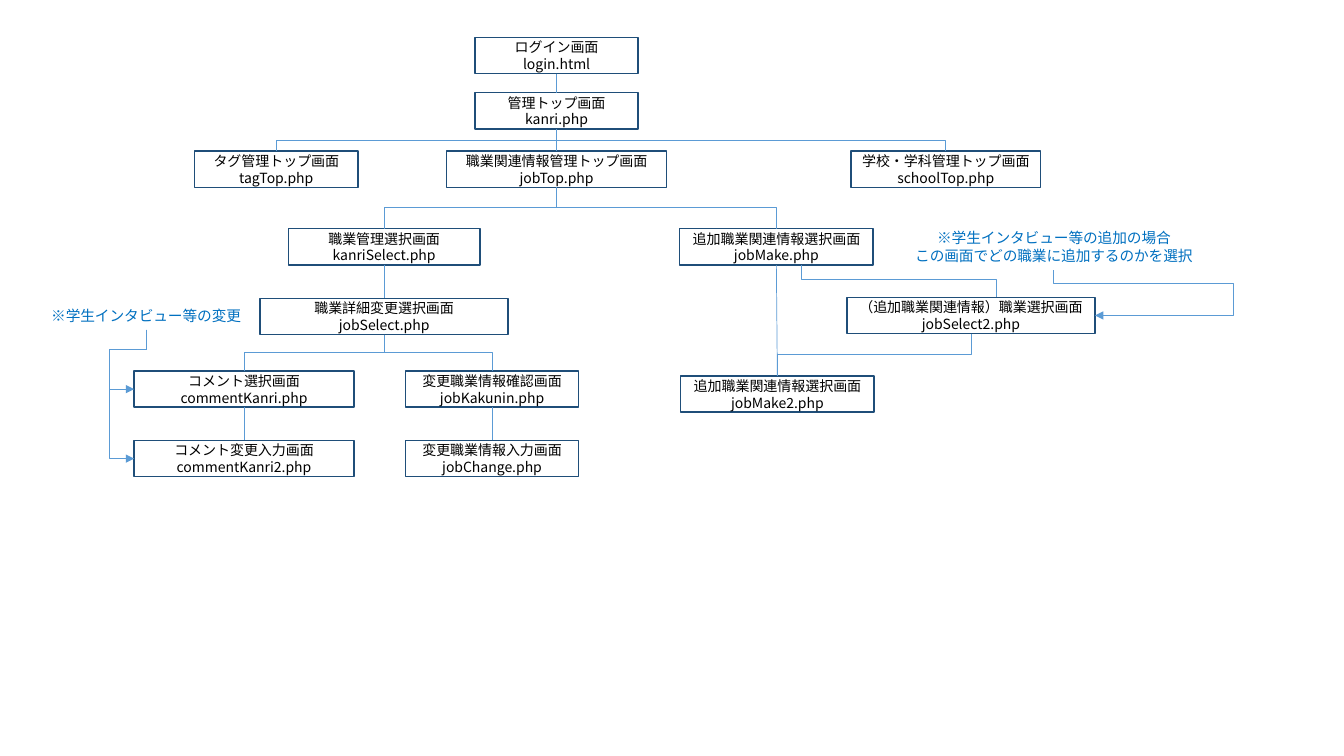
"""Build a one-slide screen transition diagram of the admin pages."""
from dataclasses import dataclass

from lxml import etree
from pptx import Presentation
from pptx import util as u
from pptx.dml.color import RGBColor
from pptx.enum import shapes, text
from pptx.oxml.ns import qn

PX = 9144
BOX_H = 36
TOP, BOTTOM = 0, 2


@dataclass(frozen=True)
class Theme:
    """Colours, font and type sizes."""
    font: str = "Noto Sans CJK JP"
    paper: str = "FFFFFF"
    ink: str = "000000"
    border: str = "1F4E79"
    link: str = "5B9BD5"
    note: str = "0070C0"
    box_pt: float = 10
    note_pt: float = 10.5
    leading: float = 1.2
    border_pt: float = 1
    link_pt: float = 0.5


@dataclass(frozen=True)
class Screen:
    """A page of the site and its box."""
    title: str
    file: str
    x: int
    y: int
    w: int

    @property
    def cx(self) -> int:
        return self.x + self.w // 2

    @property
    def bottom(self) -> int:
        return self.y + BOX_H


@dataclass(frozen=True)
class Note:
    """A free remark beside the boxes."""
    text: str
    x: int
    y: int
    w: int
    h: int


@dataclass(frozen=True)
class Elbow:
    """A bent line leaving downwards, turning at bend_y and optionally at side_x."""
    x1: int
    y1: int
    x2: int
    y2: int
    bend_y: int
    side_x: int | None = None


THEME = Theme()

SCREENS = {s.file: s for s in (
    Screen("ログイン画面", "login.html", 471, 37, 162),
    Screen("管理トップ画面", "kanri.php", 471, 92, 162),
    Screen("職業関連情報管理トップ画面", "jobTop.php", 443, 150, 218),
    Screen("タグ管理トップ画面", "tagTop.php", 193, 150, 162),
    Screen("学校・学科管理トップ画面", "schoolTop.php", 844, 150, 188),
    Screen("職業管理選択画面", "kanriSelect.php", 286, 227, 190),
    Screen("追加職業関連情報選択画面", "jobMake.php", 674, 227, 192),
    Screen("職業詳細変更選択画面", "jobSelect.php", 258, 296, 246),
    Screen("コメント選択画面", "commentKanri.php", 133, 368, 218),
    Screen("コメント変更入力画面", "commentKanri2.php", 133, 437, 218),
    Screen("変更職業情報確認画面", "jobKakunin.php", 402, 368, 172),
    Screen("変更職業情報入力画面", "jobChange.php", 402, 437, 172),
    Screen("（追加職業関連情報）職業選択画面", "jobSelect2.php", 840, 295, 246),
    Screen("追加職業関連情報選択画面", "jobMake2.php", 675, 373, 192),
)}

NOTES = (
    Note("※学生インタビュー等の変更", 34, 299, 222, 28),
    Note("※学生インタビュー等の追加の場合\nこの画面でどの職業に追加するのかを選択", 892, 222, 307, 45),
)

STRAIGHT = (
    ("login.html", "kanri.php"),
    ("kanri.php", "jobTop.php"),
    ("kanriSelect.php", "jobSelect.php"),
    ("jobMake.php", "jobMake2.php"),
    ("commentKanri.php", "commentKanri2.php"),
    ("jobKakunin.php", "jobChange.php"),
)

BRANCHES = (
    ("kanri.php", "tagTop.php"),
    ("kanri.php", "schoolTop.php"),
    ("jobTop.php", "kanriSelect.php"),
    ("jobTop.php", "jobMake.php"),
    ("jobSelect.php", "commentKanri.php"),
    ("jobSelect.php", "jobKakunin.php"),
    ("jobSelect2.php", "jobMake2.php"),
)

SIDE_LINK = Elbow(795, 263, 988, 295, 277)

NOTE_ARROWS = (
    Elbow(145, 327, 133, 386, 347, 108),
    Elbow(145, 327, 133, 455, 347, 108),
    Elbow(1045, 268, 1086, 313, 281, 1223),
)


def px(*values: float) -> list[u.Emu]:
    """Turn px into EMU."""
    return [u.Emu(int(v * PX)) for v in values]


def write(tf, words: str, size: float, color: str) -> None:
    """Fill a text frame with centred lines."""
    tf.text = words
    tf.word_wrap = True
    for p in tf.paragraphs:
        p.alignment = text.PP_ALIGN.CENTER
        p.line_spacing = u.Pt(size * THEME.leading)
        for r in p.runs:
            r.font.size = u.Pt(size)
            r.font.name = THEME.font
            r.font.color.rgb = RGBColor.from_string(color)
            ea = etree.SubElement(r.font._element, qn("a:ea"))
            ea.set("typeface", THEME.font)


def draw_screen(s, screen: Screen):
    """Draw one page box."""
    sp = s.shapes.add_shape(shapes.MSO_SHAPE.RECTANGLE,
                            *px(screen.x, screen.y, screen.w, BOX_H))
    sp.shadow.inherit = False
    sp.fill.solid()
    sp.fill.fore_color.rgb = RGBColor.from_string(THEME.paper)
    sp.line.color.rgb = RGBColor.from_string(THEME.border)
    sp.line.width = u.Pt(THEME.border_pt)
    tf = sp.text_frame
    tf.margin_left = tf.margin_right = tf.margin_top = tf.margin_bottom = 0
    tf.vertical_anchor = text.MSO_ANCHOR.MIDDLE
    write(tf, f"{screen.title}\n{screen.file}", THEME.box_pt, THEME.ink)
    return sp


def draw_note(s, note: Note) -> None:
    """Draw one remark."""
    sp = s.shapes.add_textbox(*px(note.x, note.y, note.w, note.h))
    write(sp.text_frame, note.text, THEME.note_pt, THEME.note)


def add_link(s, kind, x1: float, y1: float, x2: float, y2: float):
    """Add a thin connector without shadow."""
    c = s.shapes.add_connector(kind, *px(x1, y1, x2, y2))
    c.line.color.rgb = RGBColor.from_string(THEME.link)
    c.line.width = u.Pt(THEME.link_pt)
    etree.SubElement(c._element.spPr, qn("a:effectLst"))
    return c


def draw_elbow(s, e: Elbow, arrow: bool = False) -> None:
    """Draw a bent connector turned to start vertically."""
    dx, dy = e.x2 - e.x1, e.y2 - e.y1
    cx, cy = (e.x1 + e.x2) / 2, (e.y1 + e.y2) / 2
    half_w, half_h = dy / 2, abs(dx) / 2
    flip = -1 if dx > 0 else 1
    c = add_link(s, shapes.MSO_CONNECTOR.ELBOW, cx - flip * half_w, cy - half_h,
                 cx + flip * half_w, cy + half_h)
    spPr = c._element.spPr
    spPr.find(qn("a:xfrm")).set("rot", str((270 if dx > 0 else 90) * 60000))
    ratios = [(e.bend_y - e.y1) / dy]
    if e.side_x is not None:
        ratios.append((e.side_x - e.x1) / dx)
    geom = spPr.find(qn("a:prstGeom"))
    geom.set("prst", f"bentConnector{len(ratios) + 2}")
    for i, ratio in enumerate(ratios, 1):
        gd = etree.SubElement(geom.find(qn("a:avLst")), qn("a:gd"))
        gd.set("name", f"adj{i}")
        gd.set("fmla", f"val {round(ratio * 100000)}")
    if arrow:
        etree.SubElement(c.line._get_or_add_ln(), qn("a:tailEnd")).set("type", "triangle")


def main() -> None:
    """Build and save the slide."""
    prs = Presentation()
    prs.slide_width, prs.slide_height = px(1333, 750)
    s = prs.slides.add_slide(prs.slide_layouts[6])
    boxes = {name: draw_screen(s, screen) for name, screen in SCREENS.items()}
    for note in NOTES:
        draw_note(s, note)
    for upper, lower in STRAIGHT:
        a, b = SCREENS[upper], SCREENS[lower]
        c = add_link(s, shapes.MSO_CONNECTOR.STRAIGHT, a.cx, a.bottom, b.cx, b.y)
        c.begin_connect(boxes[upper], BOTTOM)
        c.end_connect(boxes[lower], TOP)
    for upper, lower in BRANCHES:
        a, b = SCREENS[upper], SCREENS[lower]
        draw_elbow(s, Elbow(a.cx, a.bottom, b.cx, b.y, (a.bottom + b.y) // 2))
    draw_elbow(s, SIDE_LINK)
    for e in NOTE_ARROWS:
        draw_elbow(s, e, arrow=True)
    prs.save("out.pptx")


if __name__ == "__main__":
    main()
